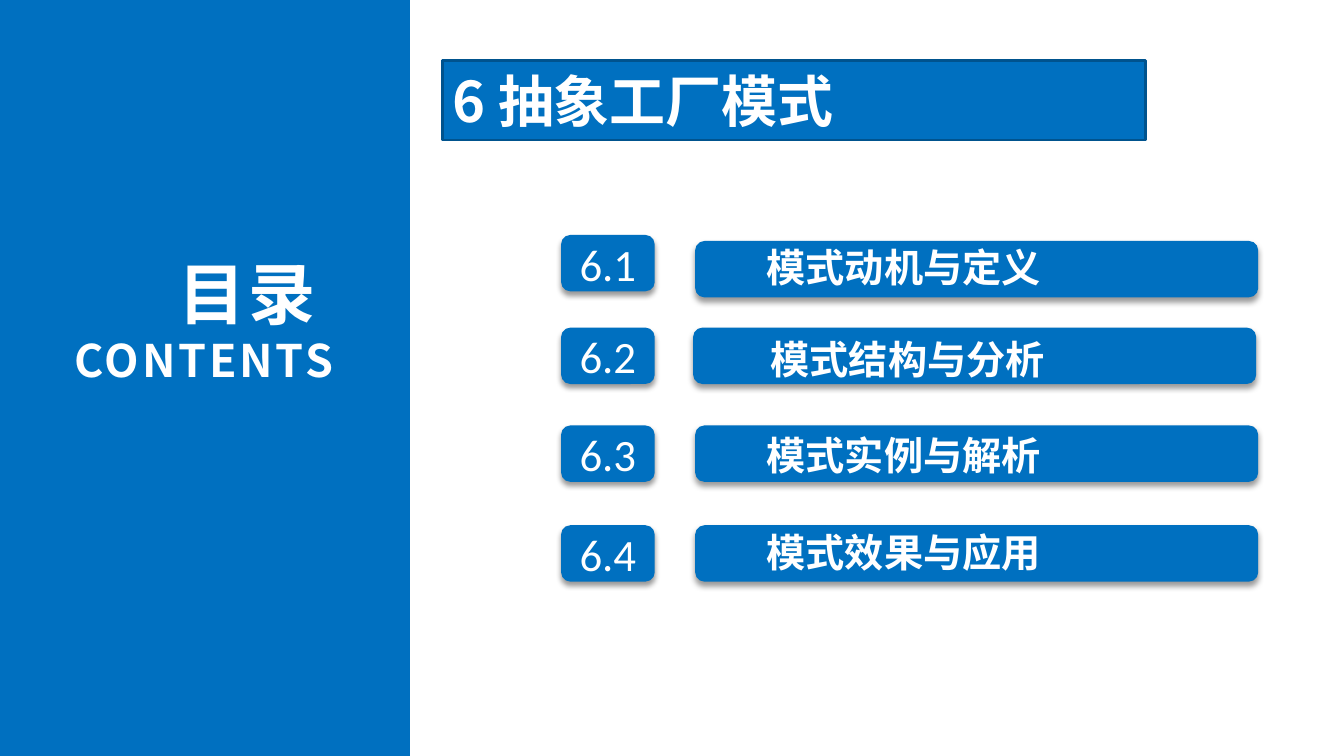
from dataclasses import dataclass

from lxml.etree import SubElement
from pptx import Presentation
from pptx.dml.color import RGBColor
from pptx.enum.shapes import MSO_SHAPE as SHAPE
from pptx.enum.text import MSO_ANCHOR as ANCHOR, MSO_AUTO_SIZE as FIT, PP_ALIGN as ALIGN
from pptx.oxml import parse_xml
from pptx.oxml.ns import nsdecls, qn
from pptx.util import Inches, Pt

WIDTH, HEIGHT = Inches(13.34), Inches(7.5)
BLUE, NAVY, WHITE = "0070C0", "00538E", "FFFFFF"
NUMBER_FONT, CJK_FONT = "Calibri", "Noto Sans CJK SC"


@dataclass(frozen=True)
class Box:
    """A rectangle in percent of the slide's width and height."""
    x: float
    y: float
    w: float
    h: float

    def emu(self) -> tuple[int, int, int, int]:
        """Return left, top, width and height in EMU."""
        return (round(self.x * WIDTH / 100), round(self.y * HEIGHT / 100),
                round(self.w * WIDTH / 100), round(self.h * HEIGHT / 100))


@dataclass(frozen=True)
class Entry:
    """One numbered line of the contents."""
    number: str
    label: str
    number_y: float
    bar_x: float
    bar_y: float
    label_x: float
    label_y: float
    label_w: float


ENTRIES = [
    Entry("6.1", "模式动机与定义", 31.07, 51.72, 31.87, 56.07, 31.2, 35.83),
    Entry("6.2", "模式结构与分析", 43.33, 51.57, 43.33, 56.37, 43.47, 29.69),
    Entry("6.3", "模式实例与解析", 56.27, 51.72, 56.27, 56.07, 56.13, 30.66),
    Entry("6.4", "模式效果与应用", 69.47, 51.72, 69.47, 56.07, 68.93, 30.66),
]


def color(value: str) -> RGBColor:
    """Turn a hex string into a colour."""
    return RGBColor.from_string(value)


def style(p, size: float, font: str = CJK_FONT, bold: bool = True,
          align=ALIGN.LEFT, spacing: int = 0) -> None:
    """Format a paragraph in white, for Latin and East Asian text alike."""
    p.alignment = align
    p.font.size, p.font.bold, p.font.name = Pt(size), bold, font
    p.font.color.rgb = color(WHITE)
    props = p._p.pPr.find(qn("a:defRPr"))
    SubElement(props, qn("a:ea")).set("typeface", font)
    if spacing:
        props.set("spc", str(spacing))


def set_insets(tf) -> None:
    """Give a text frame the margins used in the contents."""
    tf.margin_left = tf.margin_right = Inches(0.13)
    tf.margin_top = tf.margin_bottom = Inches(0.07)


def add_block(shapes, kind, box: Box, shadow: bool = True):
    """Add a blue shape, with a soft shadow below it if wanted."""
    s = shapes.add_shape(kind, *box.emu())
    s.fill.solid()
    s.fill.fore_color.rgb = color(BLUE)
    s.line.fill.background()
    s.shadow.inherit = False
    if shadow:
        s._element.spPr.find(qn("a:effectLst")).append(parse_xml(
            f'<a:outerShdw {nsdecls("a")} blurRad="{Pt(4)}" dist="{Pt(3)}" '
            'dir="5400000" algn="t" rotWithShape="0"><a:srgbClr val="000000">'
            '<a:alpha val="40000"/></a:srgbClr></a:outerShdw>'))
    return s


def add_text(shapes, box: Box, text: str):
    """Add a wrapping text box and return its text frame."""
    tf = shapes.add_textbox(*box.emu()).text_frame
    tf.word_wrap = True
    tf.auto_size = FIT.SHAPE_TO_FIT_TEXT
    set_insets(tf)
    tf.text = text
    return tf


def add_entry(shapes, entry: Entry) -> None:
    """Draw the number tile and the labelled bar of an entry."""
    tile = add_block(shapes, SHAPE.ROUNDED_RECTANGLE, Box(41.75, entry.number_y, 6.97, 7.47))
    tf = tile.text_frame
    set_insets(tf)
    tf.vertical_anchor = ANCHOR.MIDDLE
    tf.text = entry.number
    style(tf.paragraphs[0], 32, NUMBER_FONT, False, ALIGN.CENTER)
    group = shapes.add_group_shape().shapes
    add_block(group, SHAPE.ROUNDED_RECTANGLE, Box(entry.bar_x, entry.bar_y, 41.9, 7.47))
    tf = add_text(group, Box(entry.label_x, entry.label_y, entry.label_w, 8.13), entry.label)
    style(tf.paragraphs[0], 28)


def format_title(s, text: str) -> None:
    """Turn the title placeholder into the rounded chapter banner."""
    s.left, s.top, s.width, s.height = Box(32.91, 8, 52.32, 10.53).emu()
    s._element.spPr.append(parse_xml(
        f'<a:prstGeom {nsdecls("a")} prst="roundRect"><a:avLst/></a:prstGeom>'))
    s.fill.solid()
    s.fill.fore_color.rgb = color(BLUE)
    s.line.color.rgb = color(NAVY)
    s.line.width = Pt(2)
    tf = s.text_frame
    tf.vertical_anchor = ANCHOR.MIDDLE
    tf.auto_size = FIT.NONE
    tf.text = text
    style(tf.paragraphs[0], 40)


def main() -> None:
    """Build the contents slide."""
    prs = Presentation()
    prs.slide_width, prs.slide_height = WIDTH, HEIGHT
    slide = prs.slides.add_slide(prs.slide_layouts[5])
    shapes = slide.shapes
    format_title(shapes.title, "6 抽象工厂模式")
    add_block(shapes, SHAPE.RECTANGLE, Box(0, 0, 30.51, 100), shadow=False)
    heading = add_text(shapes, Box(2.77, 32.4, 23.01, 19.73), "目录 \nCONTENTS")
    for p, size in zip(heading.paragraphs, (48, 32)):
        style(p, size, align=ALIGN.RIGHT, spacing=200)
    for entry in ENTRIES:
        add_entry(shapes, entry)
    prs.save("out.pptx")


if __name__ == "__main__":
    main()
